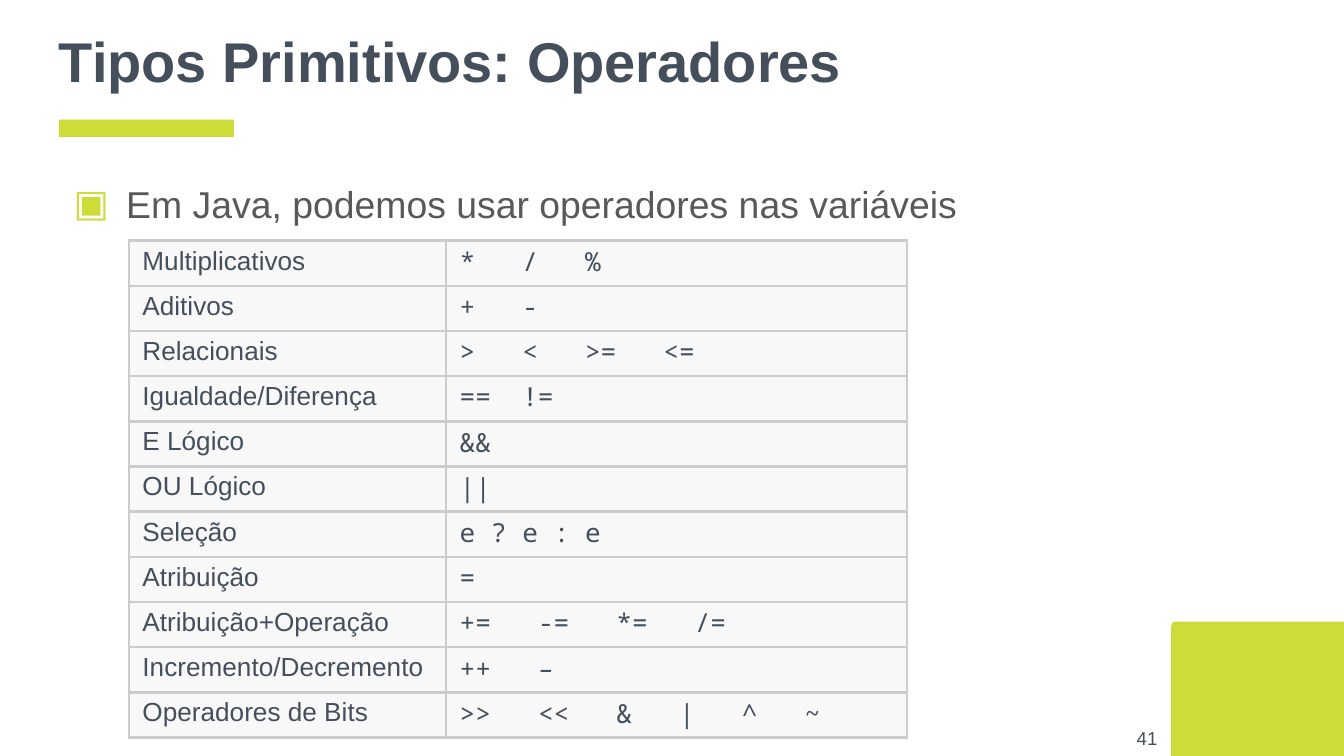
from lxml.etree import SubElement
from pptx import Presentation
from pptx.dml.color import RGBColor
from pptx.enum.shapes import MSO_SHAPE
from pptx.enum.text import MSO_ANCHOR, PP_ALIGN
from pptx.oxml.ns import qn
from pptx.util import Inches, Pt

COLORS = {
    "accent": "CDDC39",
    "dark": "454F5B",
    "body": "595959",
    "border": "CCCCCC",
    "cell": "F8F8F8",
}
TEXT_FONT = "Arial"
CODE_FONT = "Noto Sans Mono"
CODE_SIZE = 14
CHARACTER_WIDTH = 0.6 * CODE_SIZE

OPERATORS = [
    ("Multiplicativos", ["*", "/", "%"], 3),
    ("Aditivos", ["+", "-"], 3),
    ("Relacionais", [">", "<", ">=", "<="], 3),
    ("Igualdade/Diferença", ["==", "!="], 2),
    ("E Lógico", ["&&"], 3),
    ("OU Lógico", ["||"], 3),
    ("Seleção", ["e ? e : e"], 3),
    ("Atribuição", ["="], 3),
    ("Atribuição+Operação", ["+=", "-=", "*=", "/="], 3),
    ("Incremento/Decremento", ["++", "–"], 3),
    ("Operadores de Bits", [">>", "<<", "&", "|", "^", "~"], 3),
]


class SlideBuilder:
    def __init__(self, slide):
        self.slide = slide

    def color(self, name):
        return RGBColor.from_string(COLORS[name])

    def format_runs(self, paragraph, size, color, font=TEXT_FONT, bold=False):
        for run in paragraph.runs:
            run.font.name = font
            run.font.size = Pt(size)
            run.font.bold = bold
            run.font.color.rgb = self.color(color)

    def block(self, kind, left, top, width, height):
        shape = self.slide.shapes.add_shape(
            kind, Inches(left), Inches(top), Inches(width), Inches(height))
        shape.shadow.inherit = False
        shape.fill.solid()
        shape.fill.fore_color.rgb = self.color("accent")
        shape.line.fill.background()
        return shape

    def text(self, text, left, top, width, height, size, color,
             anchor=MSO_ANCHOR.MIDDLE, align=PP_ALIGN.LEFT, bold=False):
        shape = self.slide.shapes.add_textbox(
            Inches(left), Inches(top), Inches(width), Inches(height))
        frame = shape.text_frame
        frame.word_wrap = True
        frame.vertical_anchor = anchor
        frame.margin_left = frame.margin_right = Inches(0.1)
        frame.margin_top = frame.margin_bottom = Inches(0.1)
        frame.text = text
        paragraph = frame.paragraphs[0]
        paragraph.alignment = align
        self.format_runs(paragraph, size, color, bold=bold)
        return paragraph

    def bullet(self, paragraph, character):
        paragraph.line_spacing = 1.15
        properties = paragraph._p.get_or_add_pPr()
        properties.set("marL", str(Inches(0.5)))
        properties.set("indent", str(Inches(-0.39)))
        bullet_color = SubElement(properties, qn("a:buClr"))
        SubElement(bullet_color, qn("a:srgbClr"), val=COLORS["accent"])
        SubElement(properties, qn("a:buFont"), typeface=TEXT_FONT)
        SubElement(properties, qn("a:buChar"), char=character)

    def tab_stops(self, paragraph, words, gap):
        tabs = SubElement(paragraph._p.get_or_add_pPr(), qn("a:tabLst"))
        column = 0
        for word in words[:-1]:
            column += len(word) + gap
            position = Pt(column * CHARACTER_WIDTH)
            SubElement(tabs, qn("a:tab"), pos=str(position), algn="l")

    def cell(self, cell, text, font):
        cell.text = text
        cell.vertical_anchor = MSO_ANCHOR.MIDDLE
        cell.margin_left = cell.margin_right = Inches(0.1)
        cell.margin_top = Inches(0.08)
        cell.margin_bottom = Inches(0.07)
        paragraph = cell.text_frame.paragraphs[0]
        paragraph.line_spacing = 0.7
        self.format_runs(paragraph, CODE_SIZE, "dark", font)
        properties = cell._tc.get_or_add_tcPr()
        for side in ("lnL", "lnR", "lnT", "lnB"):
            line = SubElement(properties, qn("a:" + side), w=str(Pt(1.5)))
            fill = SubElement(line, qn("a:solidFill"))
            SubElement(fill, qn("a:srgbClr"), val=COLORS["border"])
        cell.fill.solid()
        cell.fill.fore_color.rgb = self.color("cell")
        return paragraph

    def operator_table(self, left, top, widths, height):
        table = self.slide.shapes.add_table(
            len(OPERATORS), len(widths), Inches(left), Inches(top),
            Inches(sum(widths)), Inches(height)).table
        table.first_row = False
        table.horz_banding = False
        for column, width in zip(table.columns, widths):
            column.width = Inches(width)
        for row, (label, symbols, gap) in enumerate(OPERATORS):
            self.cell(table.cell(row, 0), label, TEXT_FONT)
            paragraph = self.cell(table.cell(row, 1), "\t".join(symbols), CODE_FONT)
            if len(symbols) > 1:
                self.tab_stops(paragraph, symbols, gap)


def main():
    presentation = Presentation()
    presentation.slide_width = Inches(10)
    presentation.slide_height = Inches(10 * 9 / 16)
    builder = SlideBuilder(presentation.slides.add_slide(presentation.slide_layouts[6]))

    corner = builder.block(MSO_SHAPE.ROUND_1_RECTANGLE, 8.86, 4.48, 1.01, 1.3)
    corner.adjustments[0] = 0.03
    corner.rotation = 270
    builder.block(MSO_SHAPE.RECTANGLE, 0.44, 0.89, 1.3, 0.13)

    builder.text("Tipos Primitivos: Operadores", 0.34, 0, 9.32, 0.89, 30, "dark", bold=True)
    statement = builder.text("Em Java, podemos usar operadores nas variáveis",
                             0.34, 1.2, 9.32, 0.6, 20, "body", anchor=MSO_ANCHOR.TOP)
    builder.bullet(statement, "▣")
    builder.text("41", 8.11, 5.28, 0.6, 0.43, 10, "dark", align=PP_ALIGN.RIGHT)
    builder.operator_table(0.96, 1.79, [2.36, 3.43], 3.7)

    presentation.save("out.pptx")


if __name__ == "__main__":
    main()
